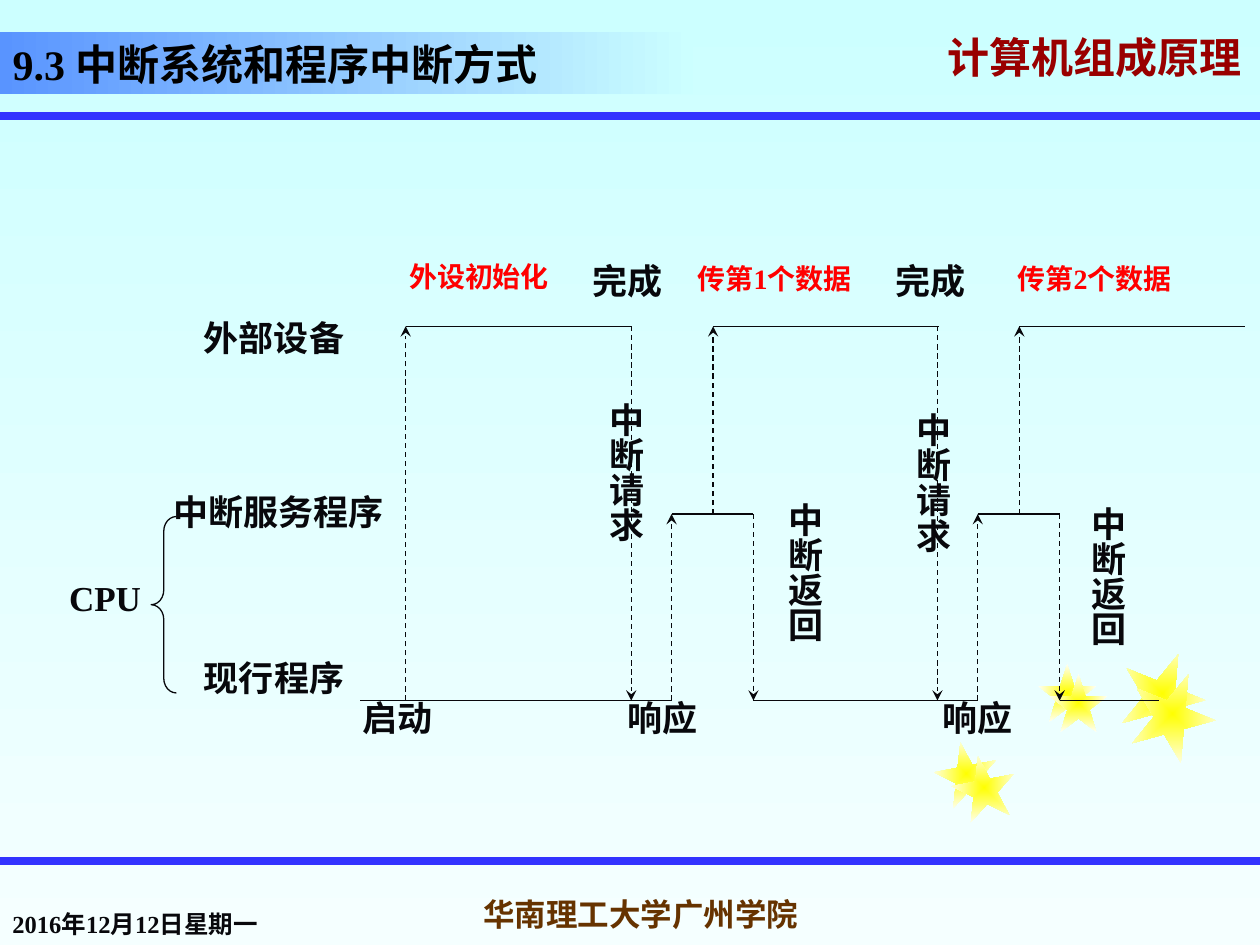
from dataclasses import dataclass

from lxml import etree
from pptx import Presentation
from pptx.dml.color import RGBColor
from pptx.enum.dml import MSO_LINE
from pptx.enum.shapes import MSO_CONNECTOR, MSO_SHAPE
from pptx.enum.text import MSO_ANCHOR, MSO_AUTO_SIZE, PP_ALIGN
from pptx.oxml.ns import qn
from pptx.util import Inches, Pt

STRAIGHT = MSO_CONNECTOR.STRAIGHT
STAR = MSO_SHAPE.STAR_5_POINT
BRACE = MSO_SHAPE.LEFT_BRACE
DASH = MSO_LINE.DASH
TOP, MIDDLE, BOTTOM = MSO_ANCHOR.TOP, MSO_ANCHOR.MIDDLE, MSO_ANCHOR.BOTTOM
LEFT, CENTER, JUSTIFY = PP_ALIGN.LEFT, PP_ALIGN.CENTER, PP_ALIGN.JUSTIFY
NO_FIT, GROW = MSO_AUTO_SIZE.NONE, MSO_AUTO_SIZE.SHAPE_TO_FIT_TEXT


@dataclass(frozen=True)
class Theme:
    serif: str = "Times New Roman"
    cjk: str = "Noto Sans CJK SC"
    ink: str = "08080C"
    black: str = "000000"
    course: str = "990000"
    school: str = "663300"
    data: str = "FF0000"
    rule: str = "3333FF"
    sky: tuple = ("CCFFFF", "F5FFFF")
    banner: tuple = ("5994FF", "CCFFFF")
    star: tuple = ("FFFF00", "FFFFF5")
    heading_size: int = 24
    label_size: int = 20
    school_size: int = 18
    data_size: int = 16
    date_size: int = 14
    thin: float = 0.75
    thick: float = 4.5


class SlideBuilder:
    def __init__(self, slide, theme):
        self.slide = slide
        self.theme = theme

    def gradient(self, fill, colors, angle=0):
        fill.gradient()
        fill.gradient_angle = angle
        for stop, color in zip(fill.gradient_stops, colors):
            stop.color.rgb = RGBColor.from_string(color)

    def run(self, paragraph, words, size, color, font=None):
        run = paragraph.add_run()
        run.text = words
        run.font.name = font or self.theme.serif
        run.font.size = Pt(size)
        run.font.bold = True
        run.font.color.rgb = RGBColor.from_string(color)
        latin = run.font._element.find(qn("a:latin"))
        east_asian = etree.Element(qn("a:ea"), typeface=self.theme.cjk)
        latin.addnext(east_asian)
        return run

    def text(self, words, left, top, width, height, size=None, color=None, font=None,
             anchor=TOP, align=LEFT, fit=GROW, wrap=True, vertical=False, spacing=None):
        box = self.slide.shapes.add_textbox(
            Inches(left), Inches(top), Inches(width), Inches(height))
        frame = box.text_frame
        frame.word_wrap = wrap
        frame.auto_size = fit
        frame.vertical_anchor = anchor
        if vertical:
            frame._txBody.bodyPr.set("vert", "eaVert")
        paragraph = frame.paragraphs[0]
        paragraph.alignment = align
        paragraph.line_spacing = spacing
        return self.run(paragraph, words, size or self.theme.label_size,
                        color or self.theme.ink, font)

    def text_shadow(self, run):
        effects = etree.Element(qn("a:effectLst"))
        shadow = etree.SubElement(effects, qn("a:outerShdw"), dist="35921", dir="2700000")
        etree.SubElement(shadow, qn("a:srgbClr"), val="808080")
        run.font._element.find(qn("a:solidFill")).addnext(effects)

    def title(self, parts, left, top, width, height):
        title = self.slide.shapes.title
        title.left, title.top = Inches(left), Inches(top)
        title.width, title.height = Inches(width), Inches(height)
        self.gradient(title.fill, self.theme.banner)
        frame = title.text_frame
        frame.auto_size = NO_FIT
        frame.vertical_anchor = BOTTOM
        paragraph = frame.paragraphs[0]
        paragraph.alignment = JUSTIFY
        paragraph.line_spacing = 0.8
        for words, font in parts:
            self.run(paragraph, words, self.theme.heading_size, self.theme.black, font)

    def line(self, x1, y1, x2, y2, color=None, width=None):
        line = self.slide.shapes.add_connector(
            STRAIGHT, Inches(x1), Inches(y1), Inches(x2), Inches(y2))
        line.line.color.rgb = RGBColor.from_string(color or self.theme.ink)
        line.line.width = Pt(width or self.theme.thin)
        etree.SubElement(line._element.spPr, qn("a:effectLst"))
        return line

    def signal(self, x, start, end):
        arrow = self.line(x, start, x, end)
        arrow.line.dash_style = DASH
        etree.SubElement(arrow.line._get_or_add_ln(), qn("a:tailEnd"), type="stealth")

    def star(self, left, top, size, rotation):
        star = self.slide.shapes.add_shape(
            STAR, Inches(left), Inches(top), Inches(size), Inches(size))
        star.rotation = rotation
        star.shadow.inherit = False
        star.line.fill.background()
        self.gradient(star.fill, self.theme.star)
        linear = star._element.spPr.find(qn("a:gradFill")).find(qn("a:lin"))
        radial = etree.Element(qn("a:path"))
        radial.set("path", "shape")
        etree.SubElement(radial, qn("a:fillToRect"),
                         l="50000", t="50000", r="50000", b="50000")
        linear.getparent().replace(linear, radial)

    def brace(self, left, top, width, height):
        brace = self.slide.shapes.add_shape(
            BRACE, Inches(left), Inches(top), Inches(width), Inches(height))
        brace.adjustments[0] = 0.58
        brace.shadow.inherit = False
        brace.fill.background()
        brace.line.color.rgb = RGBColor.from_string(self.theme.ink)
        brace.line.width = Pt(self.theme.thin)


def add_frame(page):
    theme = page.theme
    page.gradient(page.slide.background.fill, theme.sky, 270)
    course = page.text("计算机组成原理", 7.42, 0.25, 2.58, 0.5, theme.heading_size,
                       theme.course, theme.cjk, MIDDLE, fit=NO_FIT, spacing=0.7)
    page.text_shadow(course)
    for y in (0.92, 6.83):
        page.line(0, y, 10, y, theme.rule, theme.thick)
    for star in ((7.42, 5.89, 0.5, 349), (8.24, 5.27, 0.46, 0), (8.89, 5.17, 0.67, 22),
                 (7.56, 6, 0.5, 349), (8.33, 5.35, 0.46, 0), (8.97, 5.33, 0.67, 22)):
        page.star(*star)
    page.text("2016年12月12日星期一", 0, 7, 2.21, 0.5, theme.date_size,
              anchor=BOTTOM, fit=NO_FIT)
    page.text("华南理工大学广州学院", 3.5, 7, 3.17, 0.5, theme.school_size, theme.school,
              anchor=MIDDLE, align=CENTER, fit=NO_FIT, wrap=False)
    page.title((("9.3 ", theme.serif), ("中断系统和程序中断方式", theme.cjk)),
               0, 0.25, 5.5, 0.5)


def add_timeline(page):
    device, service, program = 2.59, 4.08, 5.56
    startup, first_request, period, transfer_time = 3.22, 5.01, 2.43, 1.79
    page.line(2.86, program, first_request + 0.32, program)
    page.signal(startup, program, device)
    page.line(startup, device, first_request, device)
    for cycle, program_end in enumerate((7.76, 9.2)):
        request = first_request + cycle * period
        response, transfer, resume = (request + step for step in (0.32, 0.65, 0.97))
        page.signal(request, device, program)
        page.signal(response, program, service)
        page.line(response, service, resume, service)
        page.signal(transfer, service, device)
        page.line(transfer, device, transfer + transfer_time, device)
        page.signal(resume, service, program)
        page.line(resume, program, program_end, program)


def add_labels(page):
    theme = page.theme
    for words, left, top, width in (
            ("启动", 2.78, 5.48, 1.11), ("完成", 4.6, 2.01, 1.11),
            ("完成", 7.01, 2.01, 1.11), ("响应", 4.88, 5.48, 1.11),
            ("响应", 7.38, 5.48, 1.11), ("外部设备", 1.52, 2.46, 1.84),
            ("中断服务程序", 1.28, 3.84, 2.19), ("现行程序", 1.52, 5.16, 2.19),
            ("CPU", 0.45, 4.53, 1.13)):
        page.text(words, left, top, width, 0.43)
    for words, left, top, width in (
            ("外设初始化", 3.15, 2.01, 1.6), ("传第1个数据", 5.44, 2.03, 1.99),
            ("传第2个数据", 7.98, 2.03, 2)):
        page.text(words, left, top, width, 0.37, theme.data_size, theme.data)
    for words, left, top in (("中断请求", 4.65, 3.1), ("中断请求", 7.09, 3.18),
                             ("中断返回", 6.07, 3.89), ("中断返回", 8.48, 3.92)):
        page.text(words, left, top, 0.53, 2.62, vertical=True)
    page.brace(1.2, 4.1, 0.2, 1.4)


def main():
    presentation = Presentation()
    presentation.slide_width, presentation.slide_height = Inches(10), Inches(7.5)
    slide = presentation.slides.add_slide(presentation.slide_layouts[5])
    page = SlideBuilder(slide, Theme())
    add_frame(page)
    add_timeline(page)
    add_labels(page)
    presentation.save("out.pptx")


if __name__ == "__main__":
    main()
